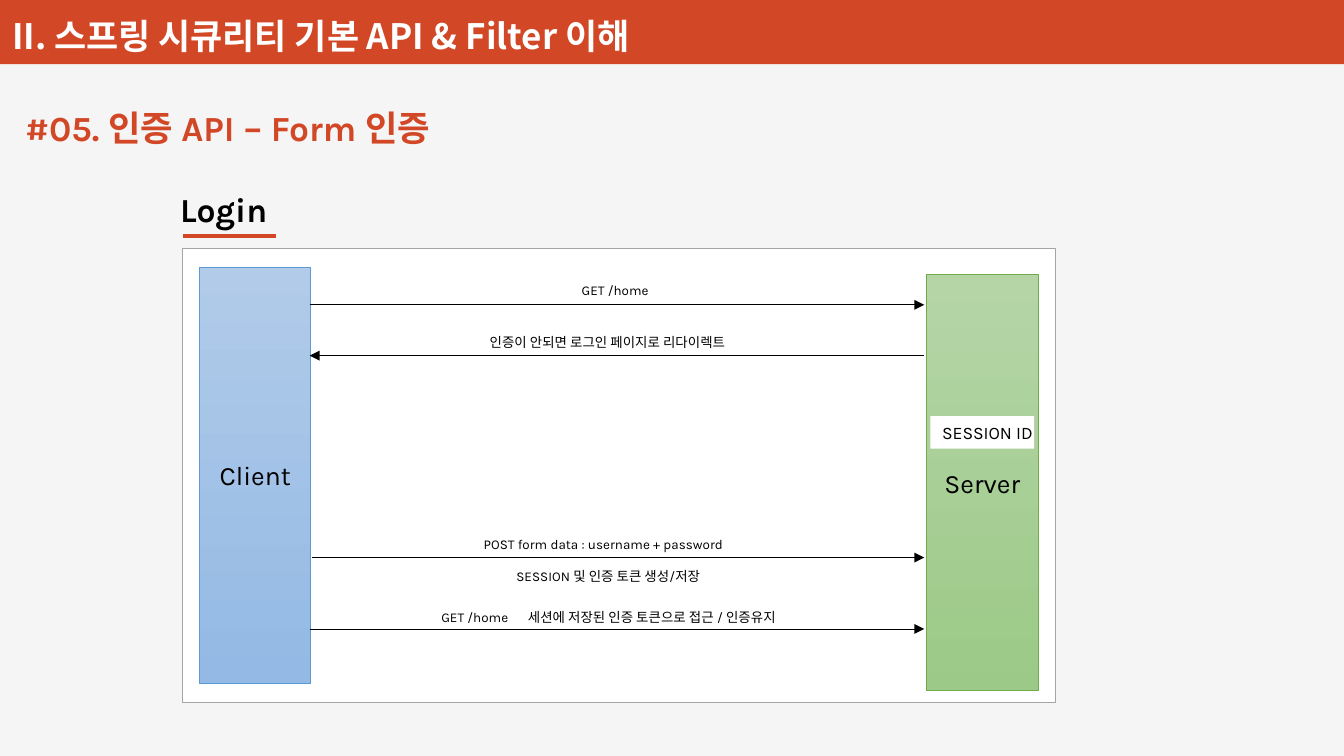
from dataclasses import dataclass
from lxml.etree import SubElement
from pptx import Presentation
from pptx.dml.color import RGBColor
from pptx.enum.shapes import MSO_CONNECTOR, MSO_SHAPE
from pptx.enum.text import MSO_ANCHOR, PP_ALIGN
from pptx.oxml.ns import qn
from pptx.util import Inches, Pt

WIDE, HIGH = Inches(11.11), Inches(6.25)


@dataclass(frozen=True)
class Theme:
    back: str = "F5F5F5"
    brand: str = "D24726"
    white: str = "FFFFFF"
    ink: str = "000000"
    edge: str = "A5A5A5"
    blue: tuple = ("B1CBE9", "93B9E4", "5B9BD5")
    green: tuple = ("B5D5A7", "9CC987", "70AD47")
    latin: str = "Karla"
    asian: str = "Noto Sans CJK KR"
    head: float = 20.8
    title: float = 21
    login: float = 20
    actor: float = 15.8
    badge: float = 10.5
    note: float = 8


LOOK = Theme()


def col(share):
    return round(WIDE * share / 100)


def row(share):
    return round(HIGH * share / 100)


def place(left, top, width, height):
    return col(left), row(top), col(width), row(height)


def apply(target, values):
    for name, value in values.items():
        setattr(target, name, value)


def color(code):
    return RGBColor.from_string(code)


def paint(fill, code):
    fill.solid()
    fill.fore_color.rgb = color(code)


def write(shape, text, size, ink=LOOK.ink, bold=False, font=LOOK.latin,
          align=PP_ALIGN.LEFT, tab=None, **frame):
    body = shape.text_frame
    apply(body, {"word_wrap": False, "vertical_anchor": MSO_ANCHOR.TOP, **frame})
    para = body.paragraphs[0]
    para.alignment = align
    if tab:
        tabs = SubElement(para._p.get_or_add_pPr(), qn("a:tabLst"))
        SubElement(tabs, qn("a:tab"), pos=str(col(tab)), algn="l")
    run = para.add_run()
    run.text = text
    apply(run.font, {"size": Pt(size), "bold": bold, "name": font})
    run.font.color.rgb = color(ink)
    SubElement(run._r.get_or_add_rPr(), qn("a:ea"), typeface=LOOK.asian)


def label(slide, area, text, size, **form):
    write(slide.shapes.add_textbox(*place(*area)), text, size, **form)


def block(slide, area, fill, edge=None, weight=0.25):
    shape = slide.shapes.add_shape(MSO_SHAPE.RECTANGLE, *place(*area))
    shape.shadow.inherit = False
    if isinstance(fill, str):
        paint(shape.fill, fill)
    else:
        shape.fill.gradient()
        shape.fill.gradient_angle = 270
        for stop, code in zip(shape.fill.gradient_stops, fill):
            stop.color.rgb = color(code)
    if edge:
        paint(shape.line.fill, edge)
        shape.line.width = Pt(weight)
    else:
        shape.line.fill.background()
    return shape


def actor(slide, left, top, name, tones):
    start, end, edge = tones
    shape = block(slide, (left, top, 8.28, 55.04), (start, end), edge, 0.5)
    write(shape, name, LOOK.actor, align=PP_ALIGN.CENTER,
          vertical_anchor=MSO_ANCHOR.MIDDLE)


def rule(slide, start, end, level, ink=LOOK.ink, weight=0.5, arrow=True):
    line = slide.shapes.add_connector(
        MSO_CONNECTOR.STRAIGHT, col(start), row(level), col(end), row(level))
    paint(line.line.fill, ink)
    line.line.width = Pt(weight)
    if arrow:
        SubElement(line.line._get_or_add_ln(), qn("a:tailEnd"), type="triangle")
    SubElement(line._element.spPr, qn("a:effectLst"))


def main():
    deck = Presentation()
    apply(deck, {"slide_width": WIDE, "slide_height": HIGH})
    slide = deck.slides.add_slide(deck.slide_layouts[6])
    paint(slide.background.fill, LOOK.back)

    block(slide, (0, 0, 100, 8.48), LOOK.brand)
    label(slide, (0.09, -1.6, 55.54, 9.76), "II. 스프링 시큐리티 기본 API & Filter 이해",
          LOOK.head, ink=LOOK.white, bold=True, font=LOOK.asian,
          vertical_anchor=MSO_ANCHOR.BOTTOM, margin_left=Inches(0.09),
          margin_bottom=Inches(0.04))
    label(slide, (0.99, 13.28, 33.57, 7.2), "#05. 인증 API – Form 인증",
          LOOK.title, ink=LOOK.brand, bold=True, word_wrap=True)
    label(slide, (12.51, 24.16, 8.28, 7.2), "Login", LOOK.login, bold=True)
    rule(slide, 13.59, 20.52, 31.2, LOOK.brand, 2.25, False)

    block(slide, (13.59, 32.8, 64.9, 60.16), LOOK.white, LOOK.edge)
    actor(slide, 14.85, 35.36, "Client", LOOK.blue)
    actor(slide, 68.95, 36.32, "Server", LOOK.green)
    badge = block(slide, (69.22, 55.04, 7.74, 4.32), LOOK.white)
    write(badge, "SESSION ID", LOOK.badge)

    near, far = 23.04, 68.77
    for start, end, level in (
        (near, far, 40.32),
        (far, near, 47.04),
        (23.22, far, 73.76),
        (near, far, 83.2),
    ):
        rule(slide, start, end, level)

    for area, text, tab in (
        ((42.39, 36.48, 7.29, 3.68), "GET /home", None),
        ((35.55, 43.36, 21.96, 4.32), "인증이 안되면 로그인 페이지로 리다이렉트", None),
        ((35.1, 70.08, 21.15, 2.56), "POST form data : username + password", None),
        ((37.53, 74.4, 16.29, 3.84), "SESSION 및 인증 토큰 생성/저장", None),
        ((31.95, 79.84, 30, 3.36),
         "GET /home\t세션에 저장된 인증 토큰으로 접근 / 인증유지", 6.45),
    ):
        label(slide, area, text, LOOK.note, tab=tab)

    deck.save("out.pptx")


if __name__ == "__main__":
    main()
